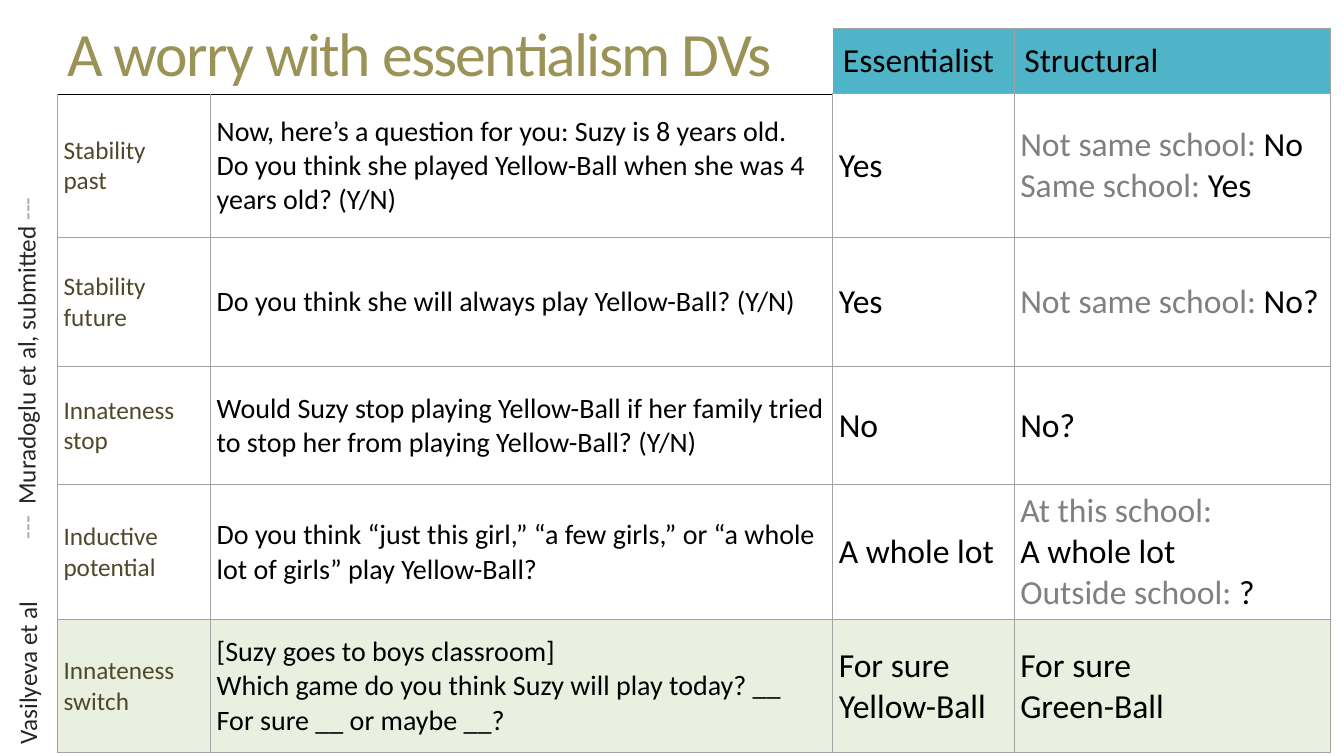
import pptx
import pptx.dml.color
import pptx.enum.text
import pptx.oxml
import pptx.oxml.ns
import pptx.util
from pptx.util import Inches

FONT = "Calibri"
COLORS = {
    "title": "9B9256",
    "header": "50B4C8",
    "label": "4E492B",
    "text": "000000",
    "muted": "808080",
    "dash": "A6A6A6",
    "source": "262626",
    "border": "A3A3A3",
    "row": "FFFFFF",
    "highlight": "EAF0E0",
}
ALIGN = pptx.enum.text.PP_ALIGN
MIDDLE = pptx.enum.text.MSO_ANCHOR.MIDDLE

COLUMN_WIDTHS = [1.52, 6.17, 1.8, 3.14]
ROW_HEIGHTS = [0.65, 1.43, 1.28, 1.17, 1.34, 1.32]
COLUMN_SIZES = [18, 20, 24, 24]
COLUMN_COLORS = ["label", "text", "text", "text"]
HEADERS = ["", "", "Essentialist", "Structural"]

# A cell is a list of paragraphs; a paragraph is a string or a list of (text, color) runs.
ROWS = [
    [
        ["Stability \npast"],
        ["Now, here’s a question for you: Suzy is 8 years old.",
         "Do you think she played Yellow-Ball when she was 4 years old? (Y/N)"],
        ["Yes"],
        [[("Not same school: ", "muted"), ("No\n", "text"),
          ("Same school: ", "muted"), ("Yes", "text")]],
    ],
    [
        ["Stability future"],
        ["Do you think she will always play Yellow-Ball? (Y/N)"],
        ["Yes"],
        [[("Not same school: ", "muted"), ("No?", "text")]],
    ],
    [
        ["Innateness stop"],
        ["Would Suzy stop playing Yellow-Ball if her family tried to stop her "
         "from playing Yellow-Ball? (Y/N)"],
        ["No"],
        ["No?"],
    ],
    [
        ["Inductive potential"],
        ["Do you think “just this girl,” “a few girls,” or “a whole lot of girls” "
         "play Yellow-Ball?"],
        ["A whole lot"],
        [[("At this school: \n", "muted"), ("A whole lot\n", "text"),
          ("Outside school: ", "muted"), ("?", "text")]],
    ],
    [
        ["Innateness switch"],
        ["[Suzy goes to boys classroom]",
         "Which game do you think Suzy will play today? __ \nFor sure __ or maybe __?"],
        ["For sure Yellow-Ball"],
        ["For sure \nGreen-Ball"],
    ],
]


def rgb(name):
    return pptx.dml.color.RGBColor.from_string(COLORS[name])


def write_text(frame, paragraphs, *, size, color="text", align=ALIGN.LEFT,
               line_spacing=None, space_before=None, tracking=None):
    """Fill a text frame; a newline inside a run becomes a line break."""
    for index, content in enumerate(paragraphs):
        paragraph = frame.add_paragraph() if index else frame.paragraphs[0]
        paragraph.alignment = align
        if line_spacing is not None:
            paragraph.line_spacing = line_spacing
        if space_before is not None:
            paragraph.space_before = pptx.util.Pt(space_before)
        runs = [(content, color)] if isinstance(content, str) else content
        for text, run_color in runs:
            for line_number, line in enumerate(text.split("\n")):
                if line_number:
                    paragraph.add_line_break()
                if not line:
                    continue
                run = paragraph.add_run()
                run.text = line
                run.font.name = FONT
                run.font.size = pptx.util.Pt(size)
                run.font.color.rgb = rgb(run_color)
                if tracking is not None:
                    run.font._element.set("spc", str(round(tracking * 100)))


def set_borders(cell, **sides):
    """Draw the sides given as L, R, T or B = (color, points); hide the others."""
    properties = cell._tc.get_or_add_tcPr()
    for index, side in enumerate("LRTB"):
        color, width = sides.get(side, (None, 0))
        paint = (f'<a:solidFill><a:srgbClr val="{COLORS[color]}"/></a:solidFill>'
                 if color else "<a:noFill/>")
        line = pptx.oxml.parse_xml(
            f'<a:ln{side} {pptx.oxml.ns.nsdecls("a")} w="{pptx.util.Pt(width)}">'
            f"{paint}</a:ln{side}>")
        properties.insert(index, line)


def set_fill(cell, color=None):
    if color:
        cell.fill.solid()
        cell.fill.fore_color.rgb = rgb(color)
    else:
        cell.fill.background()


def add_title(slide, text):
    title = slide.shapes.title
    title.left, title.top = Inches(0.57), Inches(-0.33)
    title.width, title.height = Inches(11.78), Inches(1.81)
    title.text_frame.vertical_anchor = MIDDLE
    write_text(title.text_frame, [text], size=44, color="title",
               line_spacing=0.85, tracking=-1.2)


def format_header(table):
    gray, black = ("border", 1), ("text", 0.25)
    for column, header in enumerate(HEADERS):
        cell = table.cell(0, column)
        cell.vertical_anchor = MIDDLE
        if header:
            write_text(cell.text_frame, [header], size=24)
            set_borders(cell, T=gray, R=gray, B=gray)
            set_fill(cell, "header")
        else:
            set_borders(cell, B=black)
            set_fill(cell)


def format_body(table):
    gray, black = ("border", 1), ("text", 0.25)
    for row, contents in enumerate(ROWS, start=1):
        for column, paragraphs in enumerate(contents):
            cell = table.cell(row, column)
            cell.vertical_anchor = MIDDLE
            cell.margin_left = cell.margin_right = Inches(0.06)
            cell.margin_top = cell.margin_bottom = Inches(0.06)
            write_text(cell.text_frame, paragraphs, size=COLUMN_SIZES[column],
                       color=COLUMN_COLORS[column])
            below_title = row == 1 and not HEADERS[column]
            set_borders(cell, L=gray, R=gray, B=gray, T=black if below_title else gray)
            set_fill(cell, "highlight" if row == len(ROWS) else "row")


def add_question_table(slide):
    frame = slide.shapes.add_table(
        len(ROW_HEIGHTS), len(COLUMN_WIDTHS), Inches(0.57), Inches(0.28),
        Inches(sum(COLUMN_WIDTHS)), Inches(sum(ROW_HEIGHTS)))
    table = frame.table
    table.first_row = table.horz_banding = False
    for column, width in zip(table.columns, COLUMN_WIDTHS):
        column.width = Inches(width)
    for row, height in zip(table.rows, ROW_HEIGHTS):
        row.height = Inches(height)
    format_header(table)
    format_body(table)


def add_side_source(slide, content, left, top, width, height, align):
    """Add a citation that reads upwards along the left edge."""
    box = slide.shapes.add_textbox(Inches(left), Inches(top), Inches(width), Inches(height))
    box.rotation = 270
    box.text_frame.word_wrap = True
    write_text(box.text_frame, [content], size=18, color="source", align=align,
               line_spacing=0.85, space_before=13)


def main():
    presentation = pptx.Presentation()
    presentation.slide_width = Inches(13.33)
    presentation.slide_height = Inches(7.5)
    slide = presentation.slides.add_slide(presentation.slide_layouts.get_by_name("Title Only"))
    add_title(slide, "A worry with essentialism DVs")
    add_question_table(slide)
    add_side_source(
        slide,
        [("---  ", "dash"), ("Muradoglu et al, submitted ", "source"), ("---", "dash")],
        -1.69, 3.65, 3.96, 0.38, ALIGN.RIGHT)
    add_side_source(slide, "Vasilyeva et al", -0.56, 6.5, 1.7, 0.35, ALIGN.CENTER)
    presentation.save("out.pptx")


if __name__ == "__main__":
    main()
